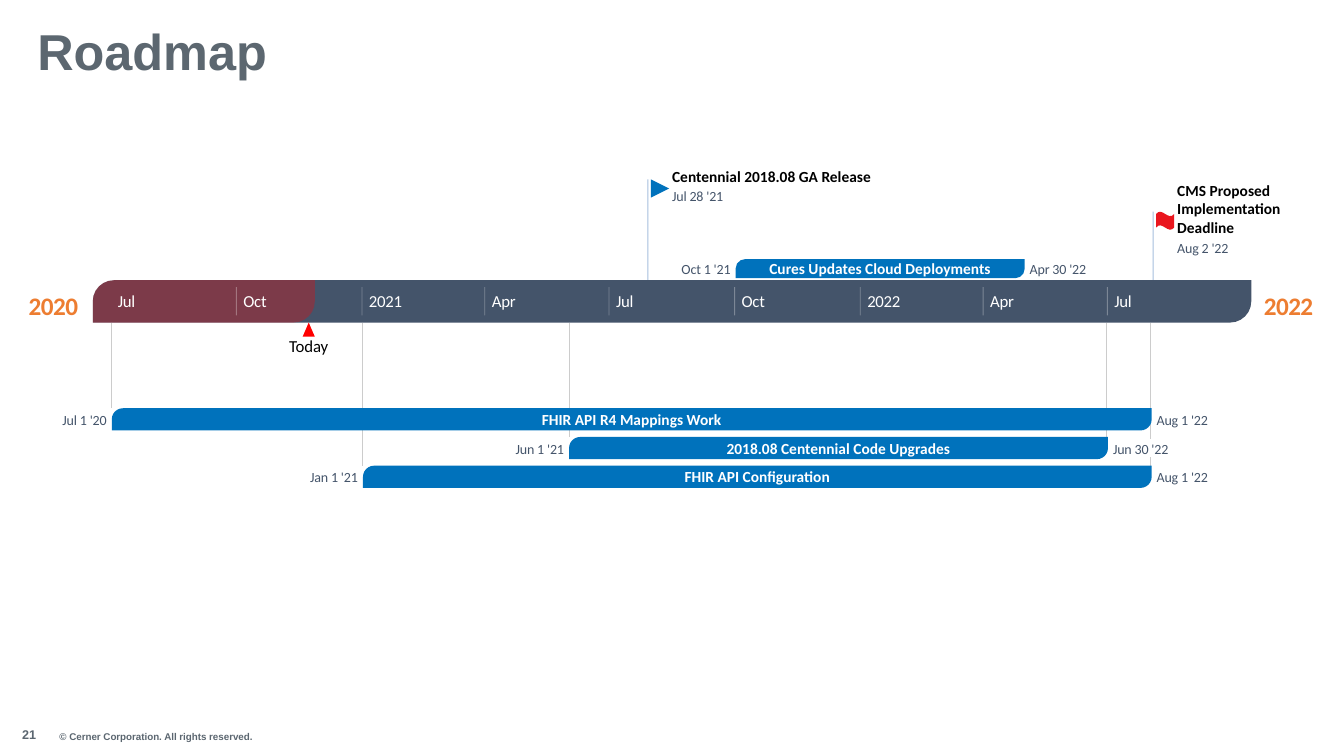
from pptx import Presentation
from pptx.dml.color import RGBColor
from pptx.enum.shapes import MSO_CONNECTOR, MSO_SHAPE as SHAPE
from pptx.enum.text import MSO_ANCHOR as ANCHOR, PP_ALIGN as ALIGN
from pptx.oxml.ns import qn
from pptx.util import Inches, Pt
from lxml.etree import SubElement

SLATE = RGBColor(0x44, 0x54, 0x6A)
GRAY = RGBColor(0x5B, 0x66, 0x70)
TITLE_GRAY = RGBColor(0x5C, 0x67, 0x70)
ORANGE = RGBColor(0xED, 0x7D, 0x31)
BLUE = RGBColor(0x00, 0x72, 0xBC)
STEM_BLUE = RGBColor(0x4F, 0x81, 0xBD)
RULE = RGBColor(0xCC, 0xCC, 0xCC)
RED = RGBColor(0xFF, 0x00, 0x00)
FLAG_RED = RGBColor(0xEA, 0x16, 0x1E)
WHITE = RGBColor(0xFF, 0xFF, 0xFF)
BLACK = RGBColor(0x00, 0x00, 0x00)

W, H = 13.33, 7.5
BAND = (0.92, 2.78, 11.49, 0.42)        # left, top, width, height
TASK_TOP, TASK_PITCH, TASK_H = 4.05, 0.285, 0.22
NEW_YEAR_X, DAY = 3.59, 0.01354         # place of Jan 1 '21, inches per day
MONTHS = "Jan Feb Mar Apr May Jun Jul Aug Sep Oct Nov Dec".split()
MONTH_DAYS = [31, 28, 31, 30, 31, 30, 31, 31, 30, 31, 30, 31]

QUARTERS = [("Jul", "Jul 1 '20"), ("Oct", "Oct 1 '20"), ("2021", "Jan 1 '21"),
            ("Apr", "Apr 1 '21"), ("Jul", "Jul 1 '21"), ("Oct", "Oct 1 '21"),
            ("2022", "Jan 1 '22"), ("Apr", "Apr 1 '22"), ("Jul", "Jul 1 '22")]
TASKS = [("FHIR API R4 Mappings Work", "Jul 1 '20", "Aug 1 '22"),
         ("2018.08 Centennial Code Upgrades", "Jun 1 '21", "Jun 30 '22"),
         ("FHIR API Configuration", "Jan 1 '21", "Aug 1 '22")]
TODAY = "Nov 23 '20"


def date_x(date):
    """Horizontal place of a date such as Jul 1 '20."""
    month, day, year = date.replace("'", "").split()
    passed = sum(MONTH_DAYS[:MONTHS.index(month)]) + int(day) - 1
    return NEW_YEAR_X + DAY * (365 * (int(year) - 21) + passed)


def set_alpha(fill, percent):
    color = fill._xPr.find(qn("a:solidFill"))[0]
    SubElement(color, qn("a:alpha")).set("val", str(percent * 1000))


def write(sp, text, size, color, bold=False, align=ALIGN.LEFT, spacing=0,
          font="Calibri", anchor=ANCHOR.MIDDLE):
    tf = sp.text_frame
    tf.word_wrap = True
    tf.vertical_anchor = anchor
    tf.margin_left = tf.margin_right = tf.margin_top = tf.margin_bottom = 0
    p = tf.paragraphs[0]
    p.text = text
    p.alignment = align
    r = p.runs[0]
    r.font.name, r.font.size, r.font.bold = font, Pt(size), bold
    r.font.color.rgb = color
    if spacing:
        r.font._element.set("spc", str(round(spacing * 100)))


def add_text(slide, box, text, size, color, **style):
    sp = slide.shapes.add_textbox(*map(Inches, box))
    write(sp, text, size, color, **style)


def add_shape(slide, kind, box, color):
    sp = slide.shapes.add_shape(kind, *map(Inches, box))
    sp.shadow.inherit = False
    sp.fill.solid()
    sp.fill.fore_color.rgb = color
    sp.line.fill.background()
    if kind == SHAPE.ROUND_2_DIAG_RECTANGLE:
        sp.adjustments[0], sp.adjustments[1] = 1, 0
    return sp


def add_rule(slide, x, top, bottom, color, width=0.72, alpha=None):
    line = slide.shapes.add_connector(MSO_CONNECTOR.STRAIGHT, *map(Inches, (x, top, x, bottom)))
    line.line.color.rgb = color
    line.line.width = Pt(width)
    SubElement(line._element.spPr, qn("a:effectLst"))
    if alpha:
        set_alpha(line.line.fill, alpha)


def add_title(slide, box):
    title = slide.shapes.title
    title.left, title.top, title.width, title.height = map(Inches, box)
    write(title, "Roadmap", 36, TITLE_GRAY, bold=True, font="Arial", anchor=ANCHOR.TOP)
    title.text_frame.margin_left, title.text_frame.margin_top = Inches(0.1), Inches(0.05)
    title.text_frame.paragraphs[0].line_spacing = 0.9


def add_footer(slide, box):
    left, top, width, height = box
    style = dict(bold=True, font="Arial", anchor=ANCHOR.TOP)
    add_text(slide, (left, top, 0.33, height), "21", 9, GRAY, **style)
    add_text(slide, (left + 0.37, top + 0.04, width - 0.37, height),
             "© Cerner Corporation. All rights reserved.", 7, GRAY, **style)


def add_band(slide, box):
    left, top, width, height = box
    # Year at each end
    for year, x in (("2020", left - 0.7), ("2022", left + width + 0.06)):
        add_text(slide, (x, top + 0.09, 0.62, 0.31), year, 18, ORANGE,
                 bold=True, align=ALIGN.CENTER, spacing=-0.4)
    # Band and elapsed time
    add_shape(slide, SHAPE.ROUND_2_DIAG_RECTANGLE, box, SLATE)
    today = date_x(TODAY)
    elapsed = add_shape(slide, SHAPE.ROUND_2_DIAG_RECTANGLE,
                        (left, top, today + 0.06 - left, height), RED)
    set_alpha(elapsed.fill, 30)
    # Today marker
    bottom = top + height
    add_shape(slide, SHAPE.ISOSCELES_TRIANGLE, (today - 0.06, bottom, 0.12, 0.14), RED)
    add_text(slide, (today - 0.3, bottom + 0.13, 0.6, 0.2), "Today", 12, BLACK,
             align=ALIGN.CENTER, spacing=-0.1)
    # Quarters, with a tick before all but the first
    for i, (label, date) in enumerate(QUARTERS):
        x = date_x(date)
        add_text(slide, (x + 0.07, top + 0.1, 0.5, 0.2), label, 12, WHITE, spacing=-0.2)
        if i:
            add_rule(slide, x, top + 0.07, top + 0.35, WHITE, 0.6, 30)


def add_task(slide, top, height, name, start, end):
    left, right = date_x(start) + 0.01, date_x(end) + 0.02
    bar = add_shape(slide, SHAPE.ROUND_2_DIAG_RECTANGLE, (left, top, right - left, height), BLUE)
    write(bar, name, 11, WHITE, bold=True, align=ALIGN.CENTER)
    label_top = top + height / 2 - 0.08
    for date, x, align in ((start, left - 0.85, ALIGN.RIGHT), (end, right + 0.05, ALIGN.LEFT)):
        add_text(slide, (x, label_top, 0.8, 0.17), date, 10, SLATE, align=align, spacing=-0.1)


def add_tasks(slide, band_bottom):
    tops = [TASK_TOP + i * TASK_PITCH for i in range(len(TASKS))]
    # Leaders; the last one breaks around the date label of the second task
    leaders = [(start, band_bottom, top) for (_, start, _), top in zip(TASKS, tops)]
    leaders += [("Jun 30 '22", band_bottom, tops[1]),
                ("Aug 1 '22", band_bottom, tops[1] + 0.02),
                ("Aug 1 '22", tops[1] + 0.2, tops[2])]
    for date, top, bottom in leaders:
        add_rule(slide, date_x(date) + 0.01, top, bottom, RULE)
    for task, top in zip(TASKS, tops):
        add_task(slide, top, TASK_H, *task)


def add_milestone(slide, box, stem_bottom, name, date, kind, color, flag_top, turn=0):
    """box is the name's top, width and height; the date follows below."""
    top, width, height = box
    x = date_x(date) + 0.02
    add_rule(slide, x, flag_top, stem_bottom, STEM_BLUE, alpha=50)
    flag = add_shape(slide, kind, (x + 0.03, flag_top, 0.18, 0.18), color)
    flag.rotation = turn
    add_text(slide, (x + 0.24, top, width, height), name, 11, BLACK, bold=True)
    add_text(slide, (x + 0.24, top + height + 0.02, 0.8, 0.17), date, 10, SLATE, spacing=-0.1)


def main():
    prs = Presentation()
    prs.slide_width, prs.slide_height = Inches(W), Inches(H)
    slide = prs.slides.add_slide(prs.slide_layouts[5])
    add_title(slide, (0.27, 0.22, W - 0.54, 0.77))
    add_footer(slide, (0.22, 7.21, 2.6, 0.15))
    band_top, band_bottom = BAND[1], BAND[1] + BAND[3]
    add_tasks(slide, band_bottom)
    add_milestone(slide, (1.65, 2.4, 0.19), band_top, "Centennial 2018.08 GA Release",
                  "Jul 28 '21", SHAPE.FLOWCHART_MERGE, BLUE, 1.78, 270)
    add_milestone(slide, (1.79, 1.1, 0.56), band_top, "CMS Proposed Implementation Deadline",
                  "Aug 2 '22", SHAPE.WAVE, FLAG_RED, 2.1)
    add_band(slide, BAND)
    add_task(slide, 2.57, 0.19, "Cures Updates Cloud Deployments", "Oct 1 '21", "Apr 30 '22")
    prs.save("out.pptx")


if __name__ == "__main__":
    main()
